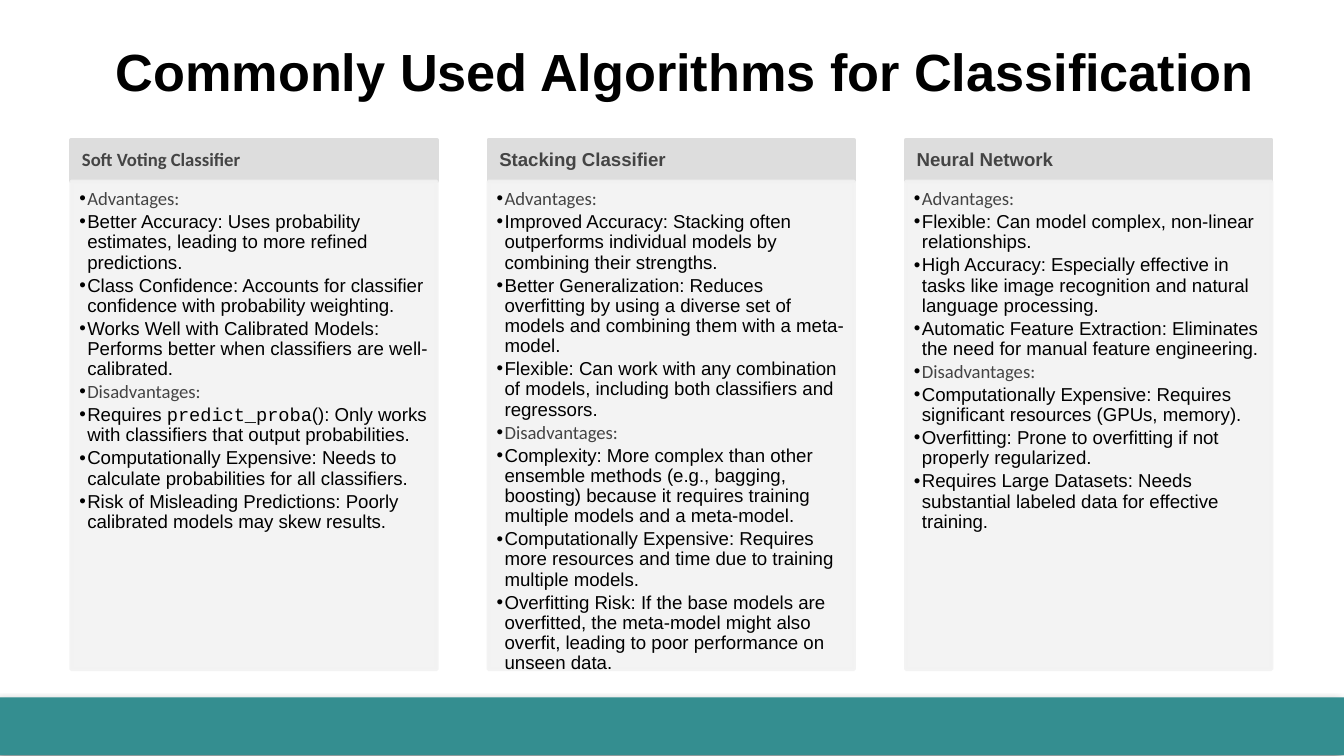
import pptx
import pptx.util
import pptx.dml.color
import pptx.enum.shapes
import pptx.enum.text
import pptx.oxml
import pptx.oxml.ns

Inches = pptx.util.Inches
Pt = pptx.util.Pt
qn = pptx.oxml.ns.qn
NS = pptx.oxml.ns.nsdecls("a")
ANCHOR = pptx.enum.text.MSO_ANCHOR

TITLE = "Commonly Used Algorithms for Classification"
CARDS = [
    {
        "head": "Soft Voting Classifier",
        "font": "Calibri",
        "pros": [
            "Better Accuracy: Uses probability estimates, leading to more refined predictions.",
            "Class Confidence: Accounts for classifier confidence with probability weighting.",
            "Works Well with Calibrated Models: Performs better when classifiers are well-calibrated.",
        ],
        "cons": [
            "Requires `predict_proba`(): Only works with classifiers that output probabilities.",
            "Computationally Expensive: Needs to calculate probabilities for all classifiers.",
            "Risk of Misleading Predictions: Poorly calibrated models may skew results.",
        ],
    },
    {
        "head": "Stacking Classifier",
        "font": "Arial",
        "pros": [
            "Improved Accuracy: Stacking often outperforms individual models by combining their strengths.",
            "Better Generalization: Reduces overfitting by using a diverse set of models and combining them with a meta-model.",
            "Flexible: Can work with any combination of models, including both classifiers and regressors.",
        ],
        "cons": [
            "Complexity: More complex than other ensemble methods (e.g., bagging, boosting) because it requires training multiple models and a meta-model.",
            "Computationally Expensive: Requires more resources and time due to training multiple models.",
            "Overfitting Risk: If the base models are overfitted, the meta-model might also overfit, leading to poor performance on unseen data.",
        ],
    },
    {
        "head": "Neural Network",
        "font": "Arial",
        "pros": [
            "Flexible: Can model complex, non-linear relationships.",
            "High Accuracy: Especially effective in tasks like image recognition and natural language processing.",
            "Automatic Feature Extraction: Eliminates the need for manual feature engineering.",
        ],
        "cons": [
            "Computationally Expensive: Requires significant resources (GPUs, memory).",
            "Overfitting: Prone to overfitting if not properly regularized.",
            "Requires Large Datasets: Needs substantial labeled data for effective training.",
        ],
    },
]
LEFT, STEP, WIDTH = 0.53, 3.105, 2.72
TOP, HEAD, BODY = 1.04, 0.31, 3.63
BLACK, GRAY = "000000", "444444"


def paint(item, color):
    item.rgb = pptx.dml.color.RGBColor.from_string(color)


def add_run(para, text, size, font, color, bold=False):
    run = para.add_run()
    run.text = text
    run.font.size = Pt(size)
    run.font.name = font
    run.font.bold = bold
    paint(run.font.color, color)


def add_box(slide, area, color, line=True):
    kind = pptx.enum.shapes.MSO_SHAPE.RECTANGLE
    box = slide.shapes.add_shape(kind, *map(Inches, area))
    box.shadow.inherit = False
    box.fill.solid()
    paint(box.fill.fore_color, color)
    if line:
        box.line.width = Pt(2)
        paint(box.line.color, color)
    else:
        box.line.fill.background()
    return box


def set_frame(box, anchor, edges):
    frame = box.text_frame
    frame.word_wrap = True
    frame.vertical_anchor = anchor
    (frame.margin_left, frame.margin_top,
     frame.margin_right, frame.margin_bottom) = map(Inches, edges)
    return frame


def set_para(para, after):
    para.alignment = pptx.enum.text.PP_ALIGN.LEFT
    para.line_spacing = 0.9
    para.space_after = Pt(after)


def add_bullet(para):
    props = para._p.get_or_add_pPr()
    props.set("marL", str(Inches(0.06)))
    props.set("indent", str(-Inches(0.06)))
    for part in (
        f'<a:buClr {NS}><a:srgbClr val="{BLACK}"/></a:buClr>',
        f'<a:buFont {NS} typeface="Arial"/>',
        f'<a:buChar {NS} char="•"/>',
    ):
        props.append(pptx.oxml.parse_xml(part))


def add_card(slide, left, card):
    head = add_box(slide, (left, TOP, WIDTH, HEAD), "DDDDDD")
    frame = set_frame(head, ANCHOR.MIDDLE, (0.08, 0.04, 0.08, 0.04))
    para = frame.paragraphs[0]
    set_para(para, 3.5)
    add_run(para, card["head"], 10, card["font"], GRAY, True)

    body = add_box(slide, (left, TOP + HEAD, WIDTH, BODY), "F2F2F2")
    for tone in body._element.spPr.iter(qn("a:srgbClr")):
        tone.append(pptx.oxml.parse_xml(f'<a:alpha {NS} val="90000"/>'))
    frame = set_frame(body, ANCHOR.TOP, (0.06, 0.06, 0.07, 0.09))
    labels = ("Advantages:", "Disadvantages:")
    rows = [labels[0], *card["pros"], labels[1], *card["cons"]]
    for num, row in enumerate(rows):
        para = frame.add_paragraph() if num else frame.paragraphs[0]
        para.level = 1
        add_bullet(para)
        set_para(para, 1.5)
        if row in labels:
            add_run(para, row, 10, "Calibri", GRAY)
            continue
        for odd, piece in enumerate(row.split("`")):
            add_run(para, piece, 10, "Courier New" if odd % 2 else "Arial", BLACK)


def main():
    deck = pptx.Presentation()
    deck.slide_width, deck.slide_height = Inches(10), Inches(10 * 9 / 16)
    slide = deck.slides.add_slide(deck.slide_layouts[5])

    band = add_box(slide, (0, 5.19, 10, 0.43), "348E90", False)
    glow = band._element.spPr.find(qn("a:effectLst"))
    glow.append(pptx.oxml.parse_xml(
        f'<a:outerShdw {NS} blurRad="{Pt(4)}" dist="{Pt(3)}" dir="8100000" '
        f'rotWithShape="0"><a:srgbClr val="{BLACK}"><a:alpha val="40000"/>'
        '</a:srgbClr></a:outerShdw>'))

    title = slide.shapes.title
    title.left, title.top, title.width, title.height = map(
        Inches, (0.35, 0.24, 9.49, 1.04))
    frame = set_frame(title, ANCHOR.TOP, (0.1, 0.05, 0.1, 0.05))
    frame.auto_size = pptx.enum.text.MSO_AUTO_SIZE.NONE
    frame.paragraphs[0].alignment = pptx.enum.text.PP_ALIGN.CENTER
    add_run(frame.paragraphs[0], TITLE, 28, "Arial", BLACK, True)

    for num, card in enumerate(CARDS):
        add_card(slide, LEFT + num * STEP, card)
    deck.save("out.pptx")


if __name__ == "__main__":
    main()
